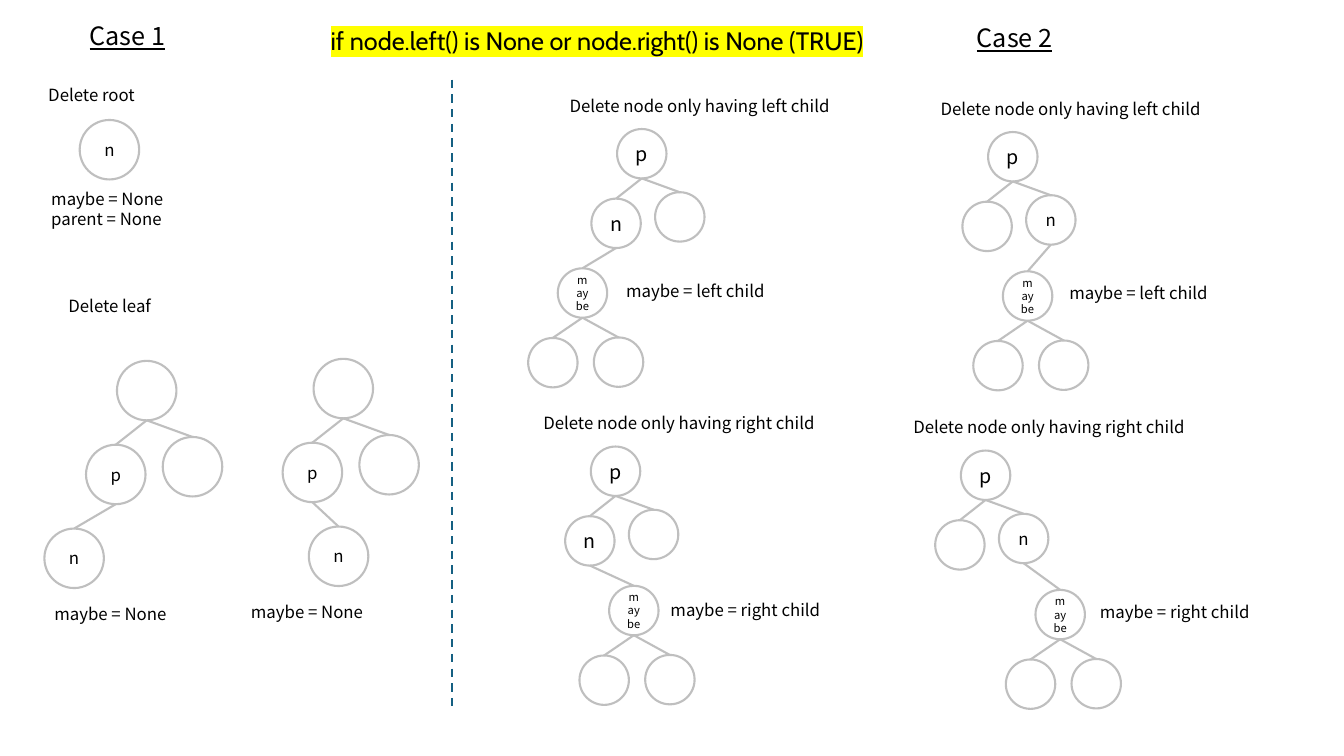
"""Build a slide of the binary search tree deletion cases."""
from lxml import etree
from pptx import Presentation
from pptx.dml.color import RGBColor
from pptx.enum.dml import MSO_LINE
from pptx.enum.shapes import MSO_CONNECTOR, MSO_SHAPE
from pptx.enum.text import MSO_ANCHOR, MSO_AUTO_SIZE, PP_ALIGN
from pptx.oxml.ns import qn
from pptx.util import Inches, Pt

STRAIGHT, OVAL, DASH = MSO_CONNECTOR.STRAIGHT, MSO_SHAPE.OVAL, MSO_LINE.DASH
MIDDLE, CENTER, GROW = MSO_ANCHOR.MIDDLE, PP_ALIGN.CENTER, MSO_AUTO_SIZE.SHAPE_TO_FIT_TEXT
COLORS = {"text": "000000", "edge": "BFBFBF", "divider": "156082", "mark": "FFFF00"}
BODY_FONT, CONDITION_FONT = "Noto Sans CJK TC", "Cabin"
WIDTH, HEIGHT = 13.33, 7.5
LARGE, SMALL = 0.59, 0.49

CONDITION = ("if node.left() is None or node.right() is None (TRUE)", 3.18, 0.2, 5.61)
CASES = [("Case 1", 0.79, 0.15, 0.98), ("Case 2", 9.59, 0.17, 0.98)]
NOTES = [
    ("Delete root", 0.38, 0.79, 1.09),
    ("maybe = None\nparent = None", 0.41, 1.82, 1.39),
    ("Delete leaf", 0.58, 2.88, 1.05),
]
LONE_ROOT = (0.79, 1.19)
DIVIDER = (4.48, 0.79, 7.02)

# Tree offsets are counted in node diameters.
LEFT_STEP, RIGHT_STEP, THIRD_ROW = (-0.52, 1.41), (0.77, 1.28), 2.82
GRANDCHILD_STEPS = [(-0.6, 1.41), (0.73, 1.4)]
LEAF_TREES = [
    {"root": (1.16, 3.58), "leaf": -1.22},
    {"root": (3.11, 3.56), "leaf": -0.08},
]
LEAF_CAPTION = ("maybe = None", -0.72, 2.36, 1.39)
TITLE_WIDTHS = {"left": 2.85, "right": 2.97}
LABEL_WIDTHS = {"left": 1.63, "right": 1.75}
CHILD_TREES = [
    {"root": (6.12, 1.28), "n": "left", "only": "left", "maybe": -1.2, "gap": (0.58, 0.07)},
    {"root": (9.8, 1.31), "n": "right", "only": "left", "maybe": 0.3, "gap": (0.56, 0.06)},
    {"root": (5.86, 4.43), "n": "left", "only": "right", "maybe": 0.37, "gap": (0.51, 0.09)},
    {"root": (9.53, 4.47), "n": "right", "only": "right", "maybe": 1.51, "gap": (0.54, 0.07)},
]
N_SIZES = {"left": 14, "right": 12}


def rgb(role):
    return RGBColor.from_string(COLORS[role])


def style_text(frame, size, font=BODY_FONT, underline=None):
    for paragraph in frame.paragraphs:
        for run in paragraph.runs:
            run.font.size, run.font.name = Pt(size), font
            run.font.color.rgb = rgb("text")
            run.font.underline = underline


def add_label(shapes, words, x, y, width, size=12, **style):
    height = 0.4 if size == 18 else 0.1 + 0.2 * len(words.split("\n"))
    frame = shapes.add_textbox(*map(Inches, (x, y, width, height))).text_frame
    frame.text = words
    frame.word_wrap, frame.auto_size = False, GROW
    style_text(frame, size, **style)
    return frame


def add_node(shapes, x, y, diameter, words="", size=12):
    node = shapes.add_shape(OVAL, *map(Inches, (x, y, diameter, diameter)))
    node.shadow.inherit = False
    node.fill.background()
    node.line.color.rgb, node.line.width = rgb("edge"), Pt(1.5)
    frame = node.text_frame
    frame.text = words
    frame.word_wrap, frame.vertical_anchor = True, MIDDLE
    frame.paragraphs[0].alignment = CENTER
    style_text(frame, size)
    return node


def add_line(shapes, x1, y1, x2, y2, role):
    line = shapes.add_connector(STRAIGHT, x1, y1, x2, y2)
    line.line.color.rgb, line.line.width = rgb(role), Pt(1.5)
    etree.SubElement(line._element.spPr, qn("a:effectLst"))
    return line


def add_child(shapes, parent, origin, step, diameter, words="", size=12):
    x, y = (start + share * diameter for start, share in zip(origin, step))
    child = add_node(shapes, x, y, diameter, words, size)
    edge = add_line(shapes, parent.left + parent.width // 2, parent.top + parent.height,
                    child.left + child.width // 2, child.top, "edge")
    edge.end_connect(child, 0)
    return child


def add_leaf_tree(slide, tree):
    shapes = slide.shapes.add_group_shape().shapes
    x, y = tree["root"]
    root = add_node(shapes, x, y, LARGE)
    parent = add_child(shapes, root, (x, y), LEFT_STEP, LARGE, "p")
    add_child(shapes, root, (x, y), RIGHT_STEP, LARGE)
    add_child(shapes, parent, (x, y), (tree["leaf"], THIRD_ROW), LARGE, "n")
    words, dx, dy, width = LEAF_CAPTION
    add_label(shapes, words, x + dx, y + dy, width)


def add_child_tree(slide, tree):
    shapes = slide.shapes.add_group_shape().shapes
    x, y = tree["root"]
    only = tree["only"]
    root = add_node(shapes, x, y, SMALL, "p", 14)
    branches = {}
    for side, step in (("left", LEFT_STEP), ("right", RIGHT_STEP)):
        words = "n" if side == tree["n"] else ""
        branches[side] = add_child(shapes, root, (x, y), step, SMALL, words, N_SIZES[side])
    maybe_step = (tree["maybe"], THIRD_ROW)
    maybe = add_child(shapes, branches[tree["n"]], (x, y), maybe_step, SMALL, "maybe", 8)
    maybe_x, maybe_y = maybe.left.inches, maybe.top.inches
    for step in GRANDCHILD_STEPS:
        add_child(shapes, maybe, (maybe_x, maybe_y), step, SMALL)
    add_label(shapes, f"Delete node only having {only} child", x - 0.57, y - 0.38, TITLE_WIDTHS[only])
    dx, dy = tree["gap"]
    add_label(shapes, f"maybe = {only} child", maybe_x + dx, maybe_y + dy, LABEL_WIDTHS[only])


def main():
    deck = Presentation()
    deck.slide_width, deck.slide_height = Inches(WIDTH), Inches(HEIGHT)
    slide = deck.slides.add_slide(deck.slide_layouts[6])
    add_node(slide.shapes, *LONE_ROOT, LARGE, "n")
    for note in NOTES:
        add_label(slide.shapes, *note)
    for case in CASES:
        add_label(slide.shapes, *case, size=18, underline=True)
    for tree in LEAF_TREES:
        add_leaf_tree(slide, tree)
    for tree in CHILD_TREES:
        add_child_tree(slide, tree)
    condition = add_label(slide.shapes, *CONDITION, size=18, font=CONDITION_FONT)
    properties = condition.paragraphs[0].runs[0].font._element
    highlight = etree.Element(qn("a:highlight"))
    etree.SubElement(highlight, qn("a:srgbClr"), val=COLORS["mark"])
    properties.find(qn("a:solidFill")).addnext(highlight)
    x, top, bottom = map(Inches, DIVIDER)
    add_line(slide.shapes, x, top, x, bottom, "divider").line.dash_style = DASH
    deck.save("out.pptx")


if __name__ == "__main__":
    main()
